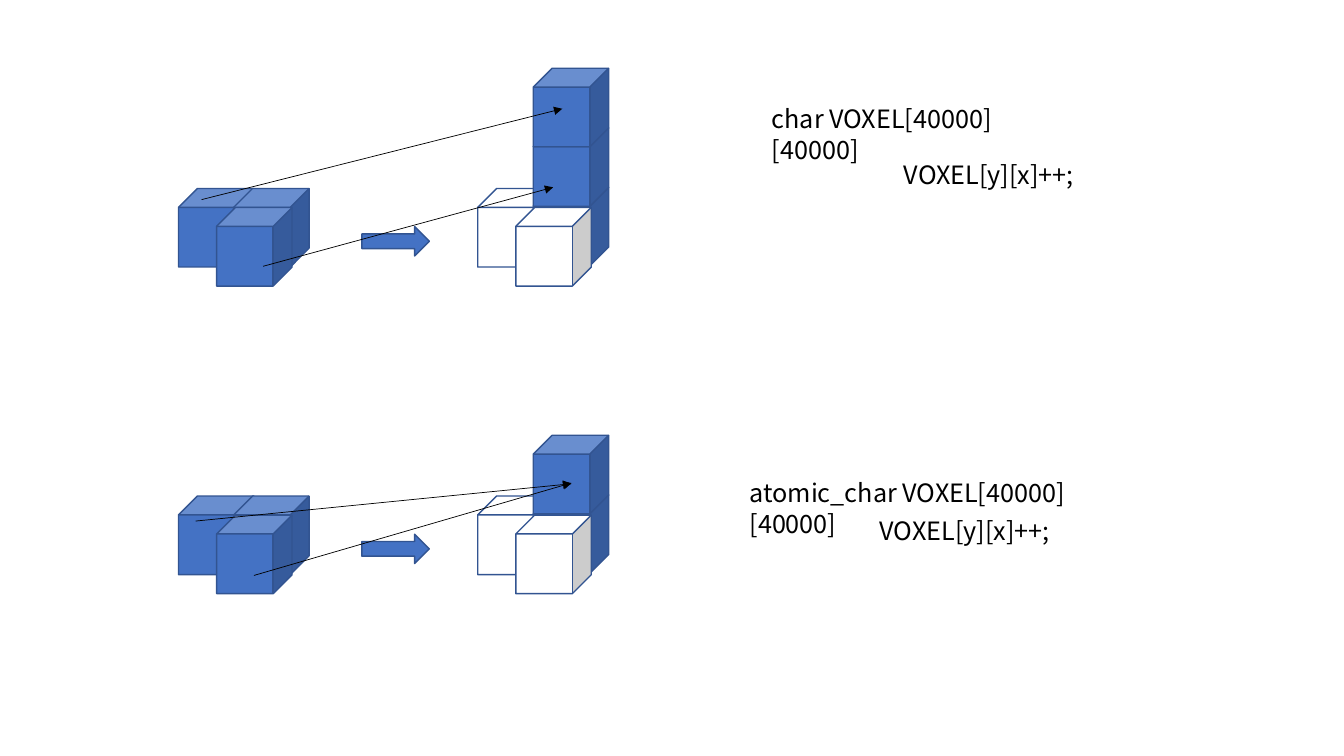
from pptx import Presentation
from pptx.dml.color import RGBColor
from pptx.enum.shapes import MSO_CONNECTOR, MSO_SHAPE
from pptx.enum.text import MSO_AUTO_SIZE
from pptx.oxml.ns import qn
from pptx.util import Cm, Pt
from lxml.etree import SubElement

COLORS = {"blue": "4472C4", "edge": "325491", "white": "FFFFFF", "black": "000000"}
FONT = "Noto Sans CJK KR"
SIDE, TALL, STEP = 1.9, 1.98, 1.5
BASE = 4.72

SCENES = [
    {"drop": 0, "tower": 3},
    {"drop": 7.75, "tower": 2},
]
BACK = [
    (12.04, 4.75, "white"),
    (4.5, 4.75, "blue"),
    (5.89, 4.75, "blue"),
    (5.46, 5.23, "blue"),
]
FRONT = (13, 5.23, "white")
ARROW = (9.6, 5.23, 0.74, 1.7)
LINKS = [
    (6.63, 6.71, 13.94, 4.72),
    (5.08, 5.03, 14.17, 2.74),
    (4.93, 13.13, 14.4, 12.19),
    (6.4, 14.5, 14.4, 12.17),
]
CODE = [
    ("VOXEL[y][x]++;", 22.53, 3.89, 4.85, False),
    ("VOXEL[y][x]++;", 21.92, 12.85, 4.85, False),
    ("char VOXEL[40000][40000]", 19.2, 2.49, 7.8, True),
    ("atomic_char VOXEL[40000][40000]", 18.64, 11.91, 10.2, True),
]


def color(name):
    return RGBColor.from_string(COLORS[name])


def add_solid(slide, kind, x, y, w, h, fill):
    solid = slide.shapes.add_shape(kind, Cm(x), Cm(y), Cm(w), Cm(h))
    solid.shadow.inherit = False
    solid.fill.solid()
    solid.fill.fore_color.rgb = color(fill)
    solid.line.color.rgb = color("edge")
    solid.line.width = Pt(1)
    return solid


def add_cube(slide, x, y, fill):
    add_solid(slide, MSO_SHAPE.CUBE, x, y, SIDE, TALL, fill)


def add_scene(slide, drop, tower):
    for x, y, fill in BACK:
        add_cube(slide, x, y + drop, fill)
    x, y, w, h = ARROW
    arrow = add_solid(slide, MSO_SHAPE.DOWN_ARROW, x, y + drop, w, h, "blue")
    arrow.rotation = 270
    for level in range(tower):
        add_cube(slide, 13.44, BASE + drop - level * STEP, "blue")
    x, y, fill = FRONT
    add_cube(slide, x, y + drop, fill)


def add_link(slide, ends):
    link = slide.shapes.add_connector(MSO_CONNECTOR.STRAIGHT, *map(Cm, ends))
    link.line.color.rgb = color("black")
    link.line.width = Pt(0.5)
    SubElement(link.line._get_or_add_ln(), qn("a:tailEnd"), type="triangle")
    SubElement(link._element.spPr, qn("a:effectLst"))


def add_code(slide, text, x, y, w, wrap):
    box = slide.shapes.add_textbox(Cm(x), Cm(y), Cm(w), Cm(1.02))
    frame = box.text_frame
    frame.word_wrap = wrap
    frame.auto_size = MSO_AUTO_SIZE.SHAPE_TO_FIT_TEXT
    line = frame.paragraphs[0]
    line.text = text
    line.font.name = FONT
    line.font.size = Pt(18)
    line.font.color.rgb = color("black")


def main():
    deck = Presentation()
    deck.slide_width, deck.slide_height = Cm(33.87), Cm(19.05)
    slide = deck.slides.add_slide(deck.slide_layouts[6])
    for scene in SCENES:
        add_scene(slide, **scene)
    for ends in LINKS:
        add_link(slide, ends)
    for entry in CODE:
        add_code(slide, *entry)
    deck.save("out.pptx")


if __name__ == "__main__":
    main()
